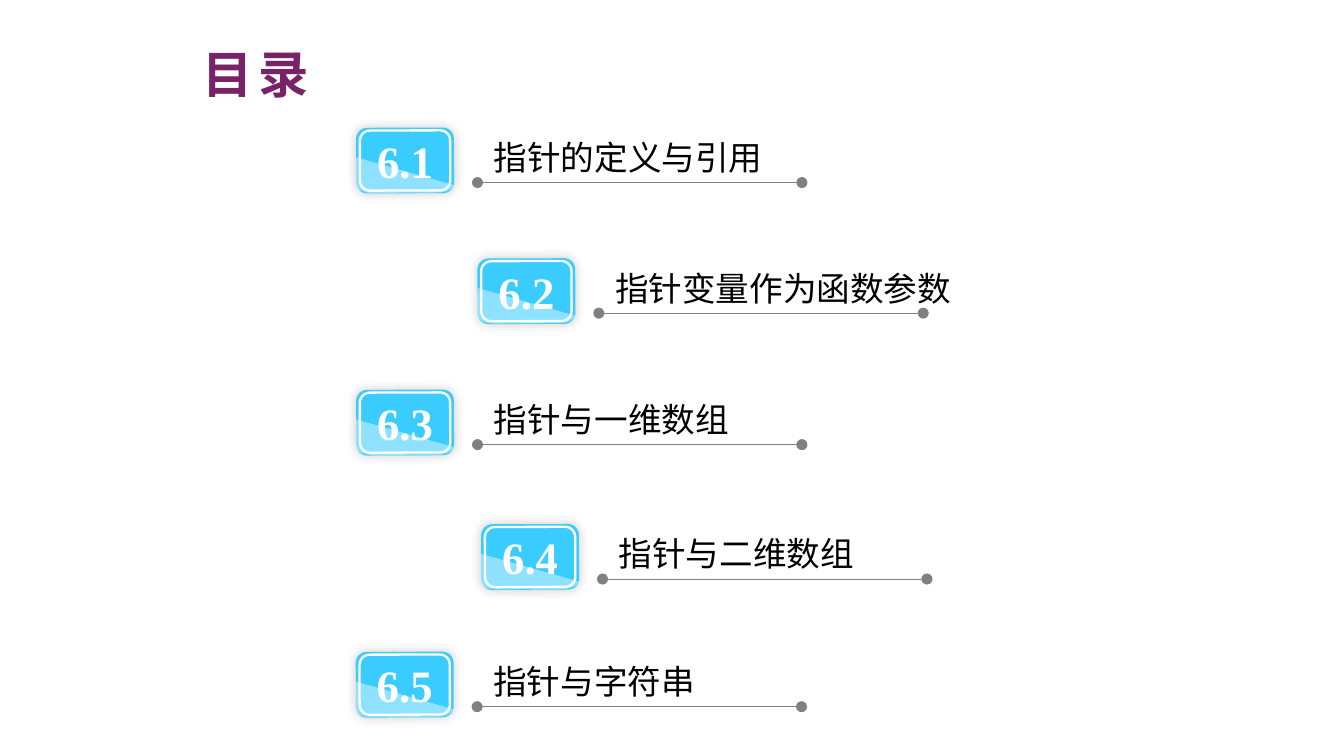
from lxml import etree
from pptx import Presentation
from pptx.dml.color import RGBColor
from pptx.enum import shapes, text
from pptx.oxml import ns
from pptx.util import Pt

# Content: number, heading, left and top of the row, width of the heading
TITLE = "目录"
SECTIONS = [
    ("6.1", "指针的定义与引用", 190.8, 68.4, 158.4),
    ("6.2", "指针变量作为函数参数", 255.8, 138.4, 194.4),
    ("6.3", "指针与一维数组", 190.8, 208.8, 140.4),
    ("6.4", "指针与二维数组", 257.8, 280.8, 140.4),
    ("6.5", "指针与字符串", 190.6, 349.2, 122.4),
]

THEME = {
    "heading_font": "Noto Sans CJK SC", "number_font": "Times New Roman",
    "title_size": 27, "number_size": 24, "heading_size": 18,
    "title": "782367", "badge": "3BCCFF", "light": "FFFFFF",
    "rule": "808080", "text": "000000", "shadow": "000000",
}
BADGE_WIDTH, BADGE_HEIGHT, BADGE_TILT = 52.4, 35.2, -0.2
FRAME_INSET = 2


def color(name):
    return RGBColor.from_string(THEME[name])


def add_xml(parent, tag, **attributes):
    return etree.SubElement(parent, ns.qn(tag), attributes)


def write(shape, words, size, font_name, color_name, bold, align):
    paragraph = shape.text_frame.paragraphs[0]
    paragraph.text = words
    paragraph.alignment = align
    font = paragraph.font
    font.size, font.bold, font.name = Pt(THEME[size]), bold, THEME[font_name]
    font.color.rgb = color(color_name)
    properties = paragraph._p.pPr.find(ns.qn("a:defRPr"))
    add_xml(properties, "a:ea", typeface=THEME[font_name])
    return paragraph


def curve(start, control1, control2, end, steps=8):
    """Points along a cubic curve, without its start."""
    for step in range(1, steps + 1):
        t = step / steps
        yield tuple((1 - t) ** 3 * a + 3 * (1 - t) ** 2 * t * b
                    + 3 * (1 - t) * t ** 2 * c + t ** 3 * d
                    for a, b, c, d in zip(start, control1, control2, end))


def add_rounded(group, left, top, width, height):
    shape = group.shapes.add_shape(shapes.MSO_SHAPE.ROUNDED_RECTANGLE,
                                   Pt(left), Pt(top), Pt(width), Pt(height))
    shape.rotation = BADGE_TILT
    shape.shadow.inherit = False
    return shape


def add_badge(group, number, left, top):
    # Blue plate with a soft shadow
    plate = add_rounded(group, left, top, BADGE_WIDTH, BADGE_HEIGHT)
    plate.fill.solid()
    plate.fill.fore_color.rgb = color("badge")
    plate.line.fill.background()
    effects = plate._element.spPr.find(ns.qn("a:effectLst"))
    shadow = add_xml(effects, "a:outerShdw", blurRad=str(Pt(6)), dist="0",
                     dir="13500000", algn="ctr", rotWithShape="0")
    shade = add_xml(shadow, "a:srgbClr", val=THEME["shadow"])
    add_xml(shade, "a:alpha", val="20000")
    plate.text_frame.vertical_anchor = text.MSO_ANCHOR.MIDDLE
    write(plate, number, "number_size", "number_font", "light", True,
          text.PP_ALIGN.CENTER)

    # White inner frame
    frame = add_rounded(group, left + FRAME_INSET, top + FRAME_INSET - 0.5,
                        BADGE_WIDTH - 2 * FRAME_INSET,
                        BADGE_HEIGHT - 2 * FRAME_INSET + 1)
    frame.fill.background()
    frame.line.color.rgb = color("light")
    frame.line.width = Pt(1.25)

    # Translucent gloss along the lower edge
    right_curve = curve((52.2, 30.8), (51.8, 33), (48.2, 34.8), (43.8, 34.8))
    left_curve = curve((8.6, 34.9), (4, 34.9), (0, 33), (0, 30.4))
    outline = [(52.2, 30.8), *right_curve, (8.6, 34.9), *left_curve]
    builder = group.shapes.build_freeform(Pt(left), Pt(top + 15.8))
    builder.add_line_segments([(Pt(left + x), Pt(top + y)) for x, y in outline])
    gloss = builder.convert_to_shape()
    gloss.rotation = BADGE_TILT
    gloss.shadow.inherit = False
    gloss.line.fill.background()
    gloss.fill.solid()
    gloss.fill.fore_color.rgb = color("light")
    tint = gloss._element.spPr.find(ns.qn("a:solidFill"))[0]
    add_xml(tint, "a:alpha", val="43000")


def add_rule(group, left, y, width):
    rule = group.shapes.add_connector(shapes.MSO_CONNECTOR.STRAIGHT,
                                      Pt(left), Pt(y), Pt(left + width), Pt(y))
    rule.line.color.rgb = color("rule")
    rule.line.width = Pt(0.25)
    line = rule.line._get_or_add_ln()
    add_xml(line, "a:prstDash", val="sysDot")
    for end in ("a:headEnd", "a:tailEnd"):
        add_xml(line, end, type="oval")
    add_xml(rule._element.spPr, "a:effectLst")


def add_section(slide, number, heading, left, top, width):
    group = slide.shapes.add_group_shape()
    add_badge(group, number, left, top)
    add_rule(group, left + 65, top + 29.4, 173.8)
    label = group.shapes.add_textbox(Pt(left + 66.6), Pt(top + 1.4),
                                     Pt(width), Pt(28.8))
    label.text_frame.word_wrap = False
    label.text_frame.auto_size = text.MSO_AUTO_SIZE.SHAPE_TO_FIT_TEXT
    write(label, heading, "heading_size", "heading_font", "text", False,
          text.PP_ALIGN.LEFT)


presentation = Presentation()
presentation.slide_width, presentation.slide_height = Pt(720), Pt(405)
slide = presentation.slides.add_slide(presentation.slide_layouts[5])

# Title, with letters spaced by 3 points
title = slide.shapes.title
title.left, title.top, title.width, title.height = Pt(101.5), Pt(19.4), Pt(78.5), Pt(39.6)
title.text_frame.vertical_anchor = text.MSO_ANCHOR.TOP
title.text_frame.auto_size = text.MSO_AUTO_SIZE.SHAPE_TO_FIT_TEXT
paragraph = write(title, TITLE, "title_size", "heading_font", "title", True,
                  text.PP_ALIGN.LEFT)
paragraph.runs[0]._r.get_or_add_rPr().set("spc", "300")

# Sections
for section in SECTIONS:
    add_section(slide, *section)

presentation.save("out.pptx")
